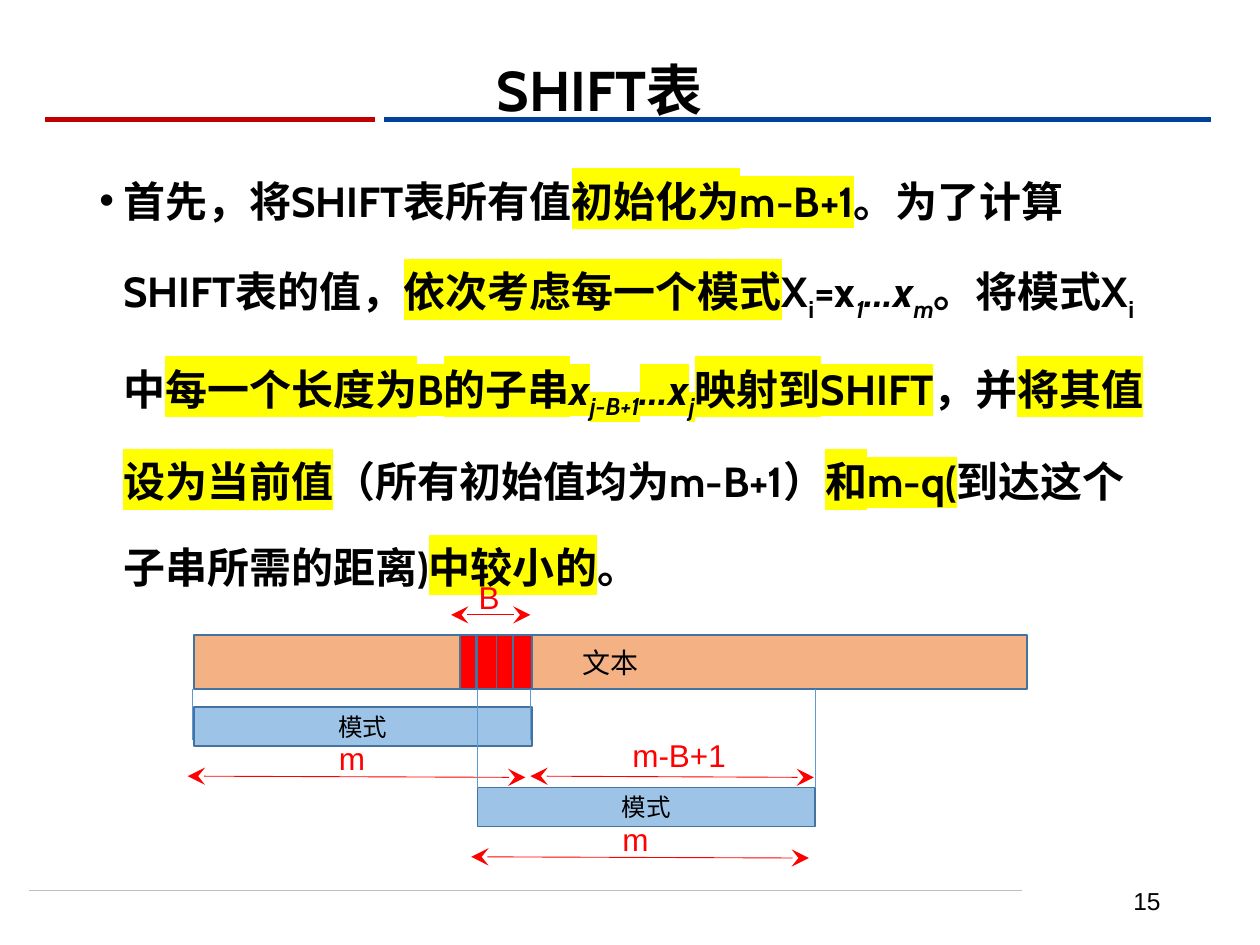
import pptx
import pptx.util
import pptx.dml.color
import pptx.enum.shapes
import pptx.enum.text
import pptx.oxml.ns
import lxml.etree

Inches = pptx.util.Inches
Pt = pptx.util.Pt
ALIGN = pptx.enum.text.PP_ALIGN
ANCHOR = pptx.enum.text.MSO_ANCHOR
COLORS = {
    "black": "000000", "red": "FF0000", "text": "F4B183", "pattern": "9DC3E6",
    "outline": "43739E", "guide": "5B9BD5", "mark": "FFFF00",
    "rule_red": "C00000", "rule_blue": "004299", "rule_gray": "BFBFBF",
}


def rgb(name):
    return pptx.dml.color.RGBColor.from_string(COLORS[name])


def sub(parent, tag, **attrs):
    return lxml.etree.SubElement(parent, pptx.oxml.ns.qn(tag), attrs)


class Deck:
    def __init__(self):
        self.prs = pptx.Presentation()
        self.prs.slide_width = Inches(10)
        self.prs.slide_height = Inches(7.5)
        self.s = self.prs.slides.add_slide(self.prs.slide_layouts[5])

    def run(self, p, text, size, font="Cabin", color="black", bold=False,
            style=""):
        r = p.add_run()
        r.text = text
        f = r.font
        f.size = Pt(size)
        f.bold = bold
        f.italic = "i" in style
        f.color.rgb = rgb(color)
        rpr = r._r.get_or_add_rPr()
        if "h" in style:
            sub(sub(rpr, "a:highlight"), "a:srgbClr", val=COLORS["mark"])
        if "s" in style:
            rpr.set("baseline", "-25000")
        f.name = font

    def title(self, text, x, y, w, h):
        sp = self.s.shapes.title
        sp.left, sp.top, sp.width, sp.height = map(Inches, (x, y, w, h))
        tf = sp.text_frame
        tf.vertical_anchor = ANCHOR.MIDDLE
        p = tf.paragraphs[0]
        p.alignment = ALIGN.CENTER
        self.run(p, text, 32, bold=True)

    def line(self, x1, y1, x2, y2, color, width=0.5, arrows=False):
        c = self.s.shapes.add_connector(
            pptx.enum.shapes.MSO_CONNECTOR.STRAIGHT,
            *map(Inches, (x1, y1, x2, y2)))
        c.line.color.rgb = rgb(color)
        c.line.width = Pt(width)
        if arrows:
            ln = c.line._get_or_add_ln()
            for end in ("a:headEnd", "a:tailEnd"):
                sub(ln, end, type="stealth", w="lg", len="lg")
        sub(c._element.spPr, "a:effectLst")

    def box(self, x, y, w, h, fill, text="", size=14):
        sp = self.s.shapes.add_shape(
            pptx.enum.shapes.MSO_SHAPE.RECTANGLE, *map(Inches, (x, y, w, h)))
        sp.shadow.inherit = False
        sp.fill.solid()
        sp.fill.fore_color.rgb = rgb(fill)
        sp.line.color.rgb = rgb("outline")
        sp.line.width = Pt(1)
        if text:
            tf = sp.text_frame
            tf.vertical_anchor = ANCHOR.MIDDLE
            p = tf.paragraphs[0]
            p.alignment = ALIGN.CENTER
            self.run(p, text, size)

    def label(self, text, x, y, w, size=18, color="red", align=ALIGN.LEFT,
              wrap=False, anchor=ANCHOR.TOP):
        tf = self.s.shapes.add_textbox(
            *map(Inches, (x, y, w, 0.4))).text_frame
        tf.word_wrap = wrap
        tf.vertical_anchor = anchor
        p = tf.paragraphs[0]
        p.alignment = align
        self.run(p, text, size, "Arial", color)

    def bullet(self, runs, x, y, w, h):
        tf = self.s.shapes.add_textbox(*map(Inches, (x, y, w, h))).text_frame
        tf.word_wrap = True
        p = tf.paragraphs[0]
        p.line_spacing = 1.7
        p.space_before = Pt(7.5)
        ppr = p._p.get_or_add_pPr()
        indent = Inches(0.19)
        ppr.set("marL", str(indent))
        ppr.set("indent", str(-indent))
        sub(ppr, "a:buFont", typeface="Arial")
        sub(ppr, "a:buChar", char="•")
        for text, style in runs:
            self.run(p, text, 24, bold=True, style=style)


BODY = [
    ("首先，将SHIFT表所有值", ""), ("初始化为m-B+1", "h"),
    ("。为了计算SHIFT表的值，", ""), ("依次考虑每一个模式", "h"),
    ("X", ""), ("i", "s"), ("=x", ""), ("1", "is"), ("…x", "i"), ("m", "is"),
    ("。将模式X", ""), ("i", "s"), ("中", ""), ("每一个长度为B的子串", "h"),
    ("x", "hi"), ("j-B+1", "his"), ("…x", "hi"), ("j", "his"),
    ("映射到SHIFT", "h"), ("，并", ""), ("将其值设为当前值", "h"),
    ("（所有初始值均为m-B+1）", ""), ("和m-q(", "h"),
    ("到达这个子串所需的距离)", ""), ("中较小的", "h"), ("。", ""),
]


def main():
    d = Deck()
    d.line(0.23, 7.07, 8.11, 7.07, "rule_gray")
    d.line(3.05, 0.95, 9.61, 0.95, "rule_blue", 3)
    d.line(0.36, 0.95, 2.98, 0.95, "rule_red", 3)
    d.label("15", 7.06, 6.95, 2.25, 14, "black", ALIGN.RIGHT, True,
            ANCHOR.MIDDLE)
    d.title("SHIFT表", 0.45, -0.02, 8.62, 1.45)
    d.bullet(BODY, 0.69, 1.06, 8.62, 4.89)

    d.box(1.54, 5.04, 6.61, 0.43, "text", "文本", 16)
    for x, y in ((1.54, 5.61), (3.79, 6.25)):
        d.box(x, y, 2.68, 0.31, "pattern", "模式")
        d.line(x - 0.05, y + 0.55, x + 2.63, y + 0.56, "red", arrows=True)
        d.label("m", x + 1.05, y + 0.21, 0.41)
    for x, w in ((4.07, 0.15), (3.94, 0.13), (3.79, 0.15), (3.65, 0.13)):
        d.box(x, 5.04, w, 0.43, "red")
    for x, bottom in ((1.53, 5.87), (4.21, 5.87), (3.79, 6.25), (6.47, 6.25)):
        d.line(x, 5.47, x, bottom, "guide")
    d.line(3.58, 4.88, 4.21, 4.88, "red", arrows=True)
    d.label("B", 3.7, 4.54, 0.37)
    d.line(4.21, 6.16, 6.46, 6.17, "red", arrows=True)
    d.label("m-B+1", 4.92, 5.79, 0.95)
    d.prs.save("out.pptx")


if __name__ == "__main__":
    main()
